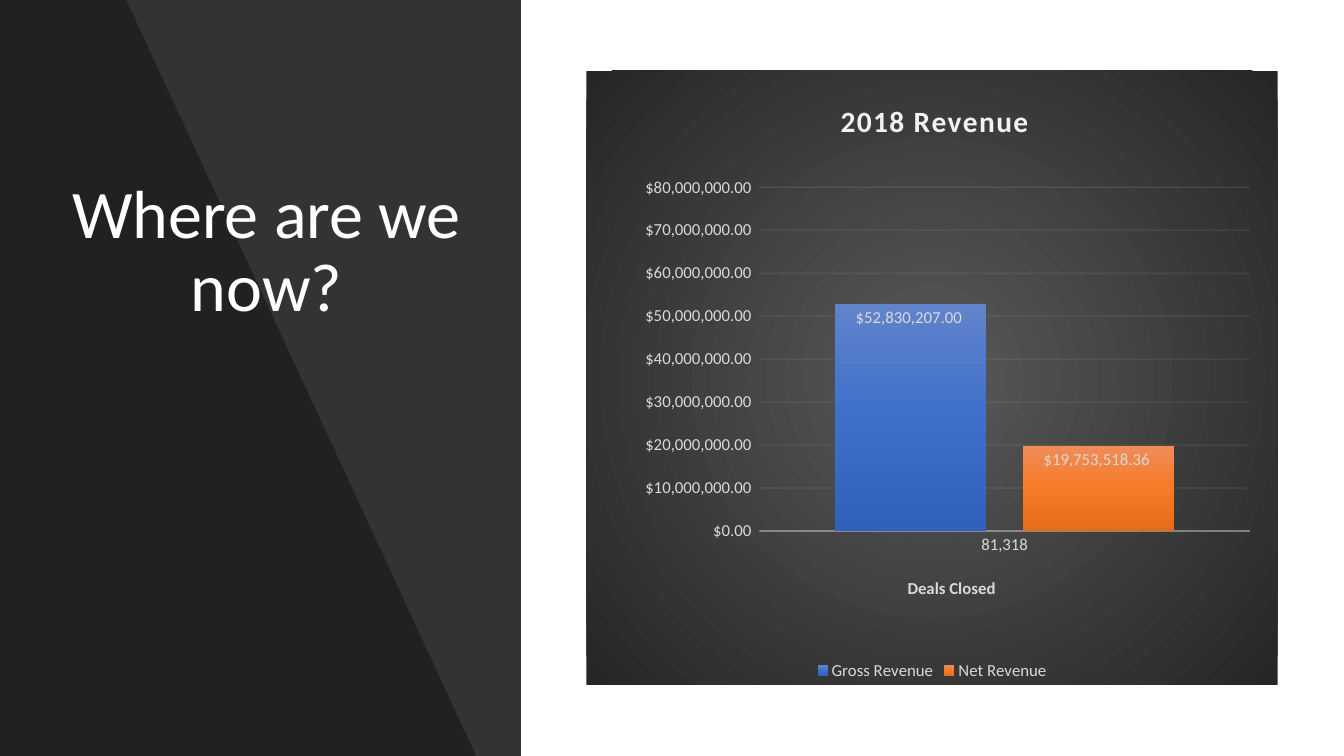
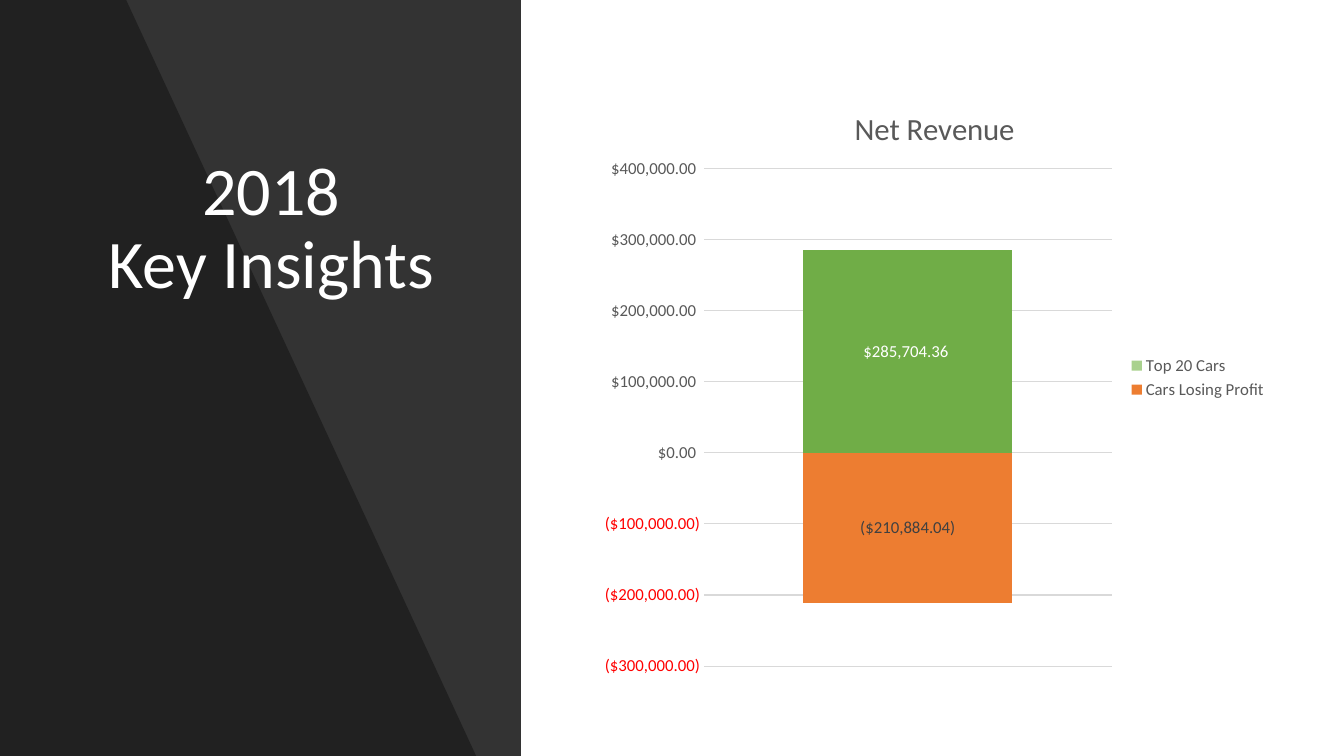
from lxml.etree import SubElement
from pptx import Presentation
from pptx.chart.data import CategoryChartData
from pptx.dml.color import RGBColor
from pptx.enum.chart import (XL_CHART_TYPE, XL_LABEL_POSITION,
                             XL_LEGEND_POSITION, XL_TICK_MARK)
from pptx.enum.shapes import MSO_SHAPE
from pptx.enum.text import MSO_ANCHOR, MSO_AUTO_SIZE, PP_ALIGN
from pptx.oxml import parse_xml
from pptx.oxml.ns import nsdecls, qn
from pptx.util import Cm, Pt

BLACK = RGBColor(0x00, 0x00, 0x00)
WHITE = RGBColor(0xFF, 0xFF, 0xFF)
PALE = RGBColor(0xF2, 0xF2, 0xF2)
SILVER = RGBColor(0xD9, 0xD9, 0xD9)
GRAY = RGBColor(0x59, 0x59, 0x59)
DARK = RGBColor(0x40, 0x40, 0x40)
INK = RGBColor(0x26, 0x26, 0x26)
ORANGE = RGBColor(0xED, 0x7D, 0x31)
LIME = RGBColor(0xA9, 0xD1, 0x8E)
GREEN = RGBColor(0x70, 0xAD, 0x47)
BLUES = (RGBColor(0x61, 0x83, 0xCB), RGBColor(0x3E, 0x70, 0xCA),
         RGBColor(0x30, 0x62, 0xBB))
EMBERS = (RGBColor(0xF1, 0x8C, 0x57), RGBColor(0xF6, 0x7B, 0x28),
          RGBColor(0xE5, 0x6C, 0x19))

FONT = "Calibri"
MONEY = '"$"#,##0.00_);[Red]\\("$"#,##0.00\\)'
PLAIN = MONEY.replace("[Red]", "")
DOWN = '<a:lin ang="5400000" scaled="0"/>'
ROUND = ('<a:path path="circle"><a:fillToRect l="50000" t="50000" '
         'r="50000" b="50000"/></a:path>')


def fade(node, share):
    """Give every colour inside the XML node an opacity in percent."""
    for tint in node.iter(qn("a:srgbClr")):
        SubElement(tint, qn("a:alpha")).set("val", str(share * 1000))


def blend(props, tints, course):
    """Add a gradient of evenly spaced tints to shape properties."""
    step = 100000 // (len(tints) - 1)
    stops = "".join(f'<a:gs pos="{i * step}"><a:srgbClr val="{tint}"/></a:gs>'
                    for i, tint in enumerate(tints))
    props.insert(0, parse_xml(f'<a:gradFill {nsdecls("a")}><a:gsLst>{stops}'
                              f'</a:gsLst>{course}</a:gradFill>'))


def place(owner, x, y, size=None):
    """Place a chart title, or a plot's inner area when size is given."""
    parts = {"xMode": "edge", "yMode": "edge", "x": x, "y": y}
    if size:
        parts = {"layoutTarget": "inner", **parts, "w": size[0], "h": size[1]}
    for old in owner.findall(qn("c:layout")):
        owner.remove(old)
    layout = parse_xml(f'<c:layout {nsdecls("c")}><c:manualLayout/></c:layout>')
    for name, value in parts.items():
        SubElement(layout[0], qn(f"c:{name}")).set("val", str(value))
    text = owner.find(qn("c:tx"))
    if text is None:
        owner.insert(0, layout)
    else:
        text.addnext(layout)


class Deck:
    """Holds the style and the slide being built."""

    def __init__(self):
        self.prs = Presentation()
        self.prs.slide_width, self.prs.slide_height = Cm(33.87), Cm(19.05)

    def start(self, title, left, width, height):
        self.slide = self.prs.slides.add_slide(self.prs.slide_layouts[5])
        self.band()
        self.head(title, left, width, height)

    def band(self):
        shapes, tall = self.slide.shapes, self.prs.slide_height
        panel = shapes.add_shape(MSO_SHAPE.RECTANGLE, 0, 0, Cm(13.13), tall)
        path = shapes.build_freeform(0, 0)
        path.add_line_segments([(Cm(3.18), 0), (Cm(12), tall), (0, tall)])
        for shape, share in ((panel, 80), (path.convert_to_shape(), 35)):
            shape.shadow.inherit = False
            shape.line.fill.background()
            shape.fill.solid()
            shape.fill.fore_color.rgb = BLACK
            fade(shape.fill._xPr, share)

    def head(self, text, left, width, height):
        title = self.slide.shapes.title
        title.left, title.top = Cm(left), Cm(3.12)
        title.width, title.height = Cm(width), Cm(height)
        self.slide.shapes._spTree.append(title._element)
        frame = title.text_frame
        frame.text = text
        frame.word_wrap = True
        frame.auto_size = MSO_AUTO_SIZE.NONE
        frame.vertical_anchor = MSO_ANCHOR.BOTTOM
        line = frame.paragraphs[0]
        line.alignment = PP_ALIGN.CENTER
        line.line_spacing = 0.9
        self.style(line.font, 48.6, WHITE)

    def style(self, font, size, color, bold=False):
        font.name, font.size, font.bold = FONT, Pt(size), bold
        font.color.rgb = color

    def chart(self, kind, cat, series, color, spot):
        """Add a column chart with its plot at spot: x, y and size."""
        data = CategoryChartData(number_format=MONEY)
        data.categories = [cat]
        for name, value in series:
            data.add_series(name, [value])
        chart = self.slide.shapes.add_chart(
            kind, Cm(14.78), Cm(1.78), Cm(17.42), Cm(15.47), data).chart
        self.style(chart.font, 12, color)
        chart.plots[0].vary_by_categories = False
        place(chart._chartSpace.chart.plotArea, *spot)
        return chart

    def name(self, owner, text, size, color, x, y, bold=False):
        """Title a chart or an axis; returns the font."""
        title = owner.chart_title if hasattr(owner, "chart_title") else owner.axis_title
        title.text_frame.text = text
        font = title.text_frame.paragraphs[0].font
        self.style(font, size, color, bold)
        place(title._element, x, y)
        return font

    def scale(self, chart, low, high, step, grid):
        axis = chart.value_axis
        axis.minimum_scale, axis.maximum_scale = low, high
        axis.major_unit = step
        axis.major_tick_mark = XL_TICK_MARK.NONE
        axis.format.line.fill.background()
        axis.tick_labels.number_format = MONEY
        axis.tick_labels.number_format_is_linked = False
        line = axis.major_gridlines.format.line
        line.color.rgb, line.width = grid, Pt(0.75)

    def legend(self, chart, spot):
        chart.has_legend = True
        chart.legend.position = spot
        chart.legend.include_in_layout = False

    def label(self, series, color, spot):
        series.invert_if_negative = False
        labels = series.data_labels
        labels.show_value = True
        labels.position = spot
        labels.number_format = PLAIN
        labels.number_format_is_linked = False
        self.style(labels.font, 12, color)


def revenue(deck):
    deck.start("Where are we now?", 0.9, 11.63, 5.23)
    chart = deck.chart(
        XL_CHART_TYPE.COLUMN_CLUSTERED, "81,318",
        [("Gross Revenue", 52830207), ("Net Revenue", 19753518.36)],
        SILVER, (0.25, 0.19, (0.71, 0.56)))
    back = parse_xml(f'<c:spPr {nsdecls("c", "a")}><a:ln><a:noFill/></a:ln></c:spPr>')
    blend(back, (GRAY, INK), ROUND)
    chart._chartSpace.chart.addnext(back)
    font = deck.name(chart, "2018 Revenue", 21, PALE, 0.36, 0.04, True)
    font._element.set("spc", "100")
    deck.scale(chart, 0, 80000000, 10000000, PALE)
    fade(chart.value_axis.major_gridlines._xAx.find(qn("c:majorGridlines")), 10)
    axis = chart.category_axis
    axis.major_tick_mark = XL_TICK_MARK.NONE
    axis.format.line.color.rgb, axis.format.line.width = PALE, Pt(1)
    fade(axis._element, 54)
    deck.name(axis, "Deals Closed", 12, SILVER, 0.46, 0.82, True)
    plot = chart.plots[0]
    plot.gap_width, plot.overlap = 100, -24
    for series, tints in zip(plot.series, (BLUES, EMBERS)):
        blend(series._element.get_or_add_spPr(), tints, DOWN)
        deck.label(series, SILVER, XL_LABEL_POSITION.INSIDE_END)
    deck.legend(chart, XL_LEGEND_POSITION.BOTTOM)


def insights(deck):
    deck.start("2018\vKey Insights", 2.24, 9.2, 4.65)
    chart = deck.chart(
        XL_CHART_TYPE.COLUMN_STACKED, "1",
        [("Cars Losing Profit", -210884.04), ("Top 20 Cars", 285704.36)],
        GRAY, (0.17, 0.16, (0.59, 0.81)))
    deck.name(chart, "Net Revenue", 22, GRAY, 0.38, 0.05)
    deck.scale(chart, -300000, 400000, 100000, SILVER)
    chart.category_axis.visible = False
    plot = chart.plots[0]
    plot.gap_width, plot.overlap = 95, 100
    for series, fill, ink in zip(plot.series, (ORANGE, LIME), (DARK, WHITE)):
        series.format.fill.solid()
        series.format.fill.fore_color.rgb = fill
        deck.label(series, ink, XL_LABEL_POSITION.CENTER)
    fill = plot.series[1].points[0].format.fill
    fill.solid()
    fill.fore_color.rgb = GREEN
    deck.legend(chart, XL_LEGEND_POSITION.RIGHT)


def main():
    deck = Deck()
    revenue(deck)
    insights(deck)
    deck.prs.save("out.pptx")


if __name__ == "__main__":
    main()
